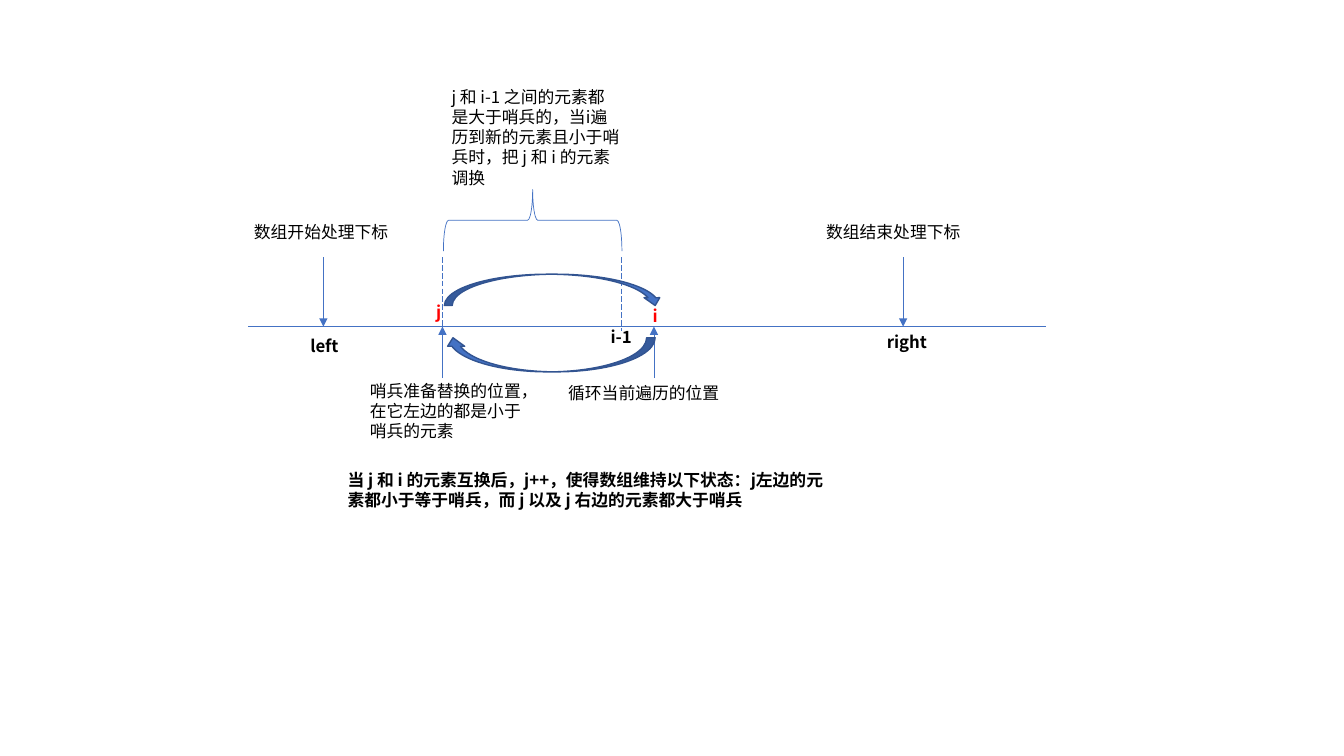
"""Build the slide that explains the partition step of quicksort."""
import pptx
import pptx.util
import pptx.dml.color
import pptx.enum.dml
import pptx.enum.shapes
import pptx.enum.text
import pptx.oxml.ns
from lxml import etree

Cm, Pt = pptx.util.Cm, pptx.util.Pt
SHAPE = pptx.enum.shapes.MSO_SHAPE
FONT = "Noto Sans CJK SC"
COLORS = {"line": "4472C4", "edge": "325491", "text": "000000", "mark": "FF0000"}

AXIS_Y, ABOVE_Y, BELOW_Y, DASH_END = 8.23, 6.48, 9.53, 8.35
X = {"start": 6.25, "left": 8.15, "j": 11.15, "i-1": 15.67, "i": 16.48,
     "right": 22.76, "end": 26.37}
POINTERS = [("left", ABOVE_Y), ("right", ABOVE_Y), ("j", BELOW_Y), ("i", BELOW_Y)]
GUIDES = ["i-1", "j"]

NOTES = [
    (["数组开始处理下标"], 6.15, 5.46, 5.36, 0.76),
    (["数组结束处理下标"], 20.57, 5.46, 5.54, 0.76),
    (["哨兵准备替换的位置，", "在它左边的都是小于", "哨兵的元素"], 9.07, 9.47, 4.75, 1.8),
    (["循环当前遍历的位置"], 14.07, 9.53, 4.75, 0.76),
    (["j 和 i-1 之间的元素都是大于哨兵的，当i遍历到新的元素且小于哨兵时，把 j 和 i 的元素调换"],
     11.13, 2.06, 4.75, 2.82),
]
LABELS = [
    (["left"], 7.57, 8.33, 5.36, 0.76),
    (["right"], 22.1, 8.23, 5.36, 0.76),
    (["i-1"], 15.14, 8.1, 1.37, 0.76),
    (["当 j 和 i 的元素互换后，j++，使得数组维持以下状态：j左边的元素都小于等于哨兵，"
      "而 j 以及 j 右边的元素都大于哨兵"], 8.51, 11.71, 12.6, 1.27),
]
MARKS = [(["j"], 10.74, 7.47, 1.04, 0.76), (["i"], 16.2, 7.59, 0.71, 0.76)]
SWAP_ARROWS = [(11.2, 6.91, 5.51, 0.79, 0), (11.2, 8.51, 5.31, 0.86, 180)]
BRACE = (12.65, 3.3, 1.55, 4.5, 270)


def rgb(name):
    return pptx.dml.color.RGBColor.from_string(COLORS[name])


def add_line(s, x1, y1, x2, y2, arrow=False, dashed=False):
    line = s.shapes.add_connector(pptx.enum.shapes.MSO_CONNECTOR.STRAIGHT,
                                  Cm(x1), Cm(y1), Cm(x2), Cm(y2))
    line.line.color.rgb = rgb("line")
    line.line.width = Pt(0.5)
    if dashed:
        line.line.dash_style = pptx.enum.dml.MSO_LINE.LONG_DASH
    if arrow:
        ln = line.line._get_or_add_ln()
        etree.SubElement(ln, pptx.oxml.ns.qn("a:tailEnd"), type="triangle")
    etree.SubElement(line._element.spPr, pptx.oxml.ns.qn("a:effectLst"))


def add_shape(s, kind, box, edge, width, fill=None):
    *frame, rotation = box
    sp = s.shapes.add_shape(kind, *map(Cm, frame))
    sp.rotation = rotation
    sp.shadow.inherit = False
    sp.line.color.rgb = rgb(edge)
    sp.line.width = Pt(width)
    if fill:
        sp.fill.solid()
        sp.fill.fore_color.rgb = rgb(fill)
    else:
        sp.fill.background()


def add_text(s, lines, *frame, color="text", bold=False):
    tf = s.shapes.add_textbox(*map(Cm, frame)).text_frame
    tf.word_wrap = True
    tf.auto_size = pptx.enum.text.MSO_AUTO_SIZE.SHAPE_TO_FIT_TEXT
    for n, line in enumerate(lines):
        p = tf.add_paragraph() if n else tf.paragraphs[0]
        r = p.add_run()
        r.text = line
        r.font.size = Pt(12)
        r.font.bold = bold
        r.font.name = FONT
        r.font.color.rgb = rgb(color)
        etree.SubElement(r.font._element, pptx.oxml.ns.qn("a:ea"), typeface=FONT)


prs = pptx.Presentation()
prs.slide_width, prs.slide_height = Cm(33.87), Cm(19.05)
s = prs.slides.add_slide(prs.slide_layouts[6])

add_line(s, X["start"], AXIS_Y, X["end"], AXIS_Y)
for name, y in POINTERS:
    add_line(s, X[name], y, X[name], AXIS_Y, arrow=True)
for note in NOTES:
    add_text(s, *note)
for label in LABELS:
    add_text(s, *label, bold=True)
for mark in MARKS:
    add_text(s, *mark, color="mark", bold=True)
add_shape(s, SHAPE.RIGHT_BRACE, BRACE, "line", 0.5)
for name in GUIDES:
    add_line(s, X[name], ABOVE_Y, X[name], DASH_END, dashed=True)
for box in SWAP_ARROWS:
    add_shape(s, SHAPE.CURVED_DOWN_ARROW, box, "edge", 1, "line")

prs.save("out.pptx")
